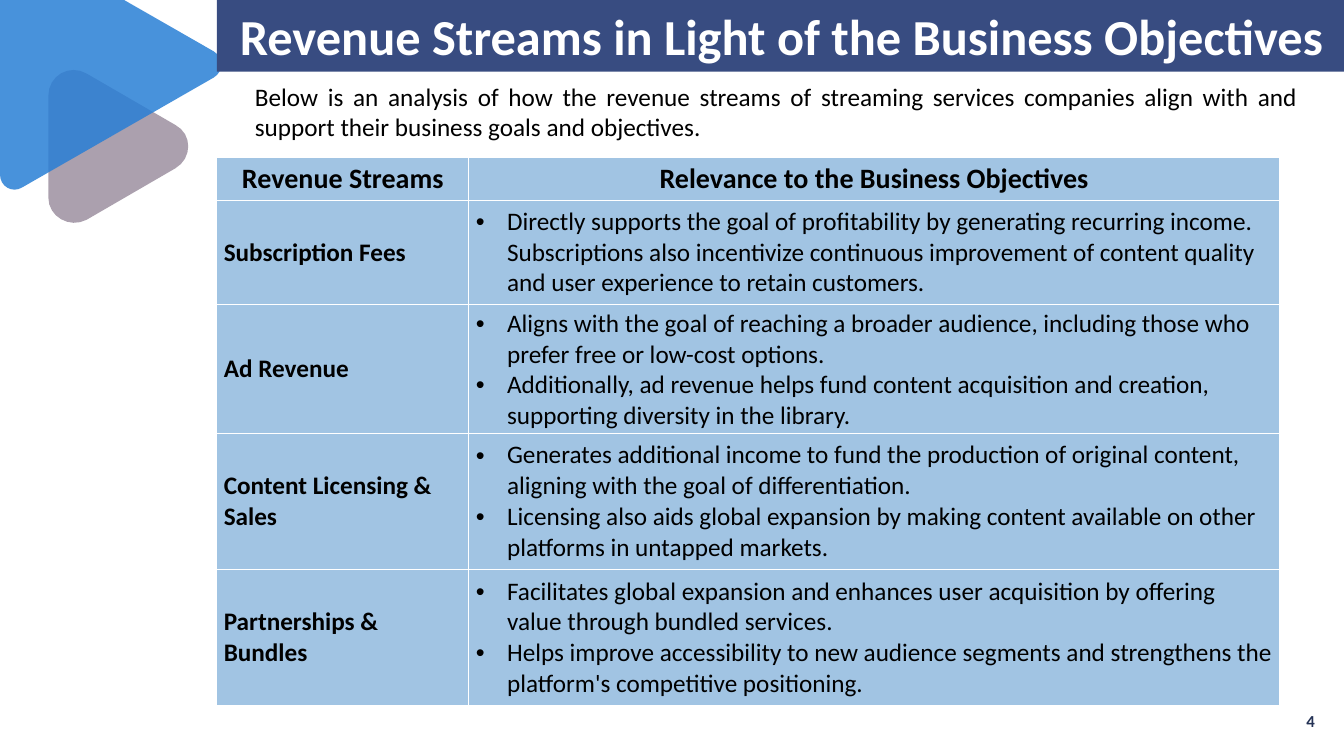
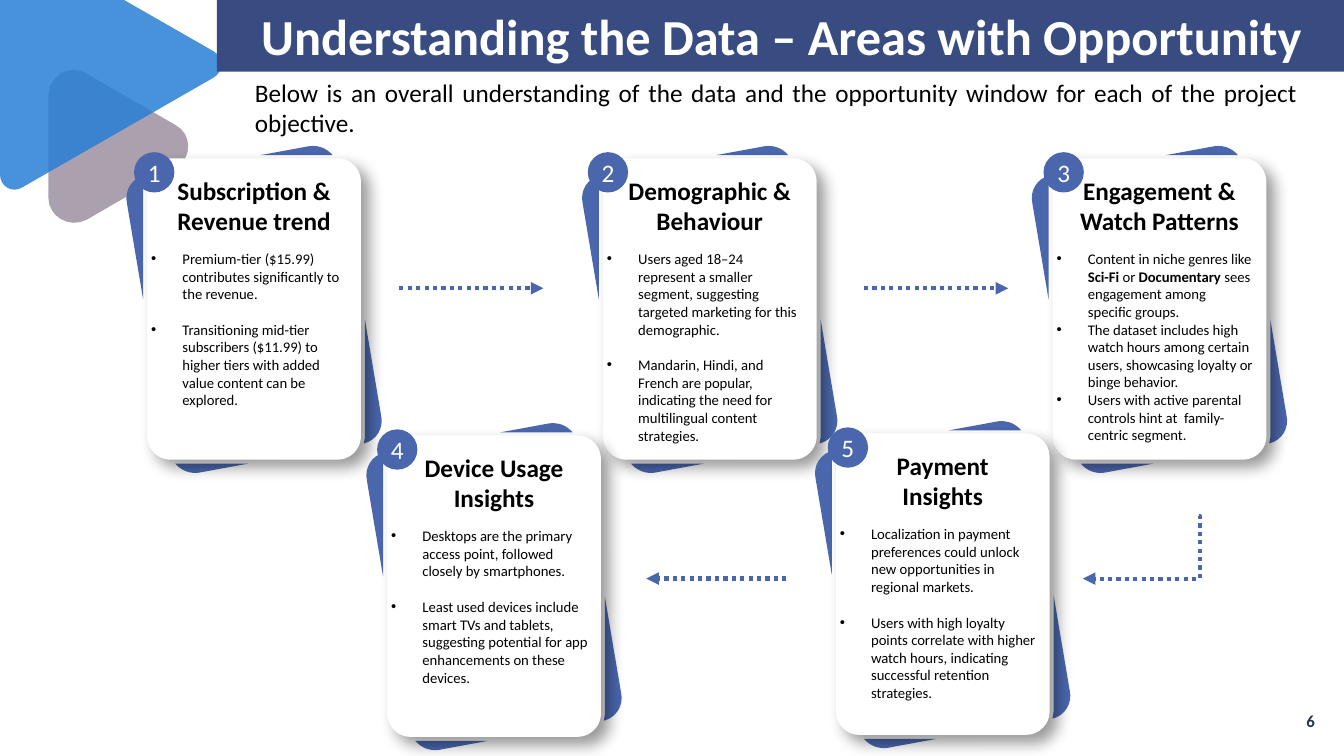
from dataclasses import dataclass
from typing import NamedTuple

from lxml.etree import SubElement
from pptx import Presentation
from pptx.dml.color import RGBColor
from pptx.enum.dml import MSO_LINE
from pptx.enum.shapes import MSO_CONNECTOR, MSO_SHAPE
from pptx.enum.text import MSO_ANCHOR, MSO_AUTO_SIZE, PP_ALIGN
from pptx.oxml.ns import qn
from pptx.util import Inches, Pt


@dataclass(frozen=True)
class Theme:
    font: str = "Calibri"
    band: str = "384C81"
    blue: str = "4A66AC"
    sky: str = "297FD5"
    mauve: str = "9D90A0"
    cell: str = "A1C4E3"
    page: str = "253356"
    black: str = "000000"
    white: str = "FFFFFF"
    title: float = 36
    head: float = 20
    body: float = 18
    small: float = 12
    tiny: float = 10.5


T = Theme()


class Style(NamedTuple):
    size: float
    color: str = T.black
    bold: bool = False
    align: PP_ALIGN = PP_ALIGN.LEFT
    bullet: bool = False
    gap: float = 0


TITLE = Style(T.title, T.white, True, PP_ALIGN.CENTER)
LEAD = Style(T.body, align=PP_ALIGN.JUSTIFY)
PAGE = Style(T.small, T.page, True, PP_ALIGN.RIGHT)
HEAD = Style(T.head, bold=True, align=PP_ALIGN.CENTER)
LABEL = Style(T.body, bold=True)
POINT = Style(T.body, bullet=True)
NAME = Style(T.body, bold=True, align=PP_ALIGN.CENTER)
BADGE = Style(T.body, T.white, align=PP_ALIGN.CENTER)
NOTE = Style(T.tiny, bullet=True)
SPACED = NOTE._replace(gap=12.8)


class Card(NamedTuple):
    left: float
    top: float
    badge: float
    name: str
    notes: list[str]
    style: Style = SPACED


class Row(NamedTuple):
    label: str
    points: list[str]
    high: float


class Link(NamedTuple):
    start: tuple[float, float]
    end: tuple[float, float]
    kind: MSO_CONNECTOR = MSO_CONNECTOR.STRAIGHT


MAUVE = [[(0.48, 1.46), (0.48, 0.95), (0.48, 0.75, 0.69, 0.63, 0.86, 0.73),
          (1.74, 1.24), (1.91, 1.33, 1.91, 1.57, 1.74, 1.67),
          (0.86, 2.18), (0.69, 2.27, 0.48, 2.15, 0.48, 1.96)]]
SKY = [[(0, 0), (1.23, 0), (2.12, 0.51), (2.22, 0.57, 2.22, 0.71, 2.12, 0.77),
        (0.22, 1.86), (0.12, 1.92, 0, 1.85, 0, 1.73)]]
EDGES = [[(2.05, 0.09), (1.33, 0.09), (1.82, 0),
          (1.91, -0.01, 1.99, 0.02, 2.05, 0.09)],
         [(0.01, 0.57), (0.17, 1.52), (0.17, 0.36),
          (0.17, 0.34, 0.18, 0.31, 0.18, 0.29),
          (0.06, 0.32, -0.02, 0.44, 0.01, 0.57)]]
TILT_W, TILT_H = 2.54, 3.24
TILT = EDGES + [[tuple((TILT_H if i % 2 else TILT_W) - v
                       for i, v in enumerate(step)) for step in part]
                for part in EDGES]

ROWS = [
    Row("Subscription Fees", [
        "Directly supports the goal of profitability by generating recurring income. Subscriptions also incentivize continuous improvement of content quality and user experience to retain customers.",
    ], 1.03),
    Row("Ad Revenue", [
        "Aligns with the goal of reaching a broader audience, including those who prefer free or low-cost options.",
        "Additionally, ad revenue helps fund content acquisition and creation, supporting diversity in the library.",
    ], 1.27),
    Row("Content Licensing & Sales", [
        "Generates additional income to fund the production of original content, aligning with the goal of differentiation.",
        "Licensing also aids global expansion by making content available on other platforms in untapped markets.",
    ], 1.35),
    Row("Partnerships & Bundles", [
        "Facilitates global expansion and enhances user acquisition by offering value through bundled services.",
        "Helps improve accessibility to new audience segments and strengthens the platform's competitive positioning.",
    ], 1.35),
]

CARDS = [
    Card(1.46, 1.57, 1.33, "Subscription & Revenue trend", [
        "Premium-tier ($15.99) contributes significantly to the revenue.",
        "Transitioning mid-tier subscribers ($11.99) to higher tiers with added value content can be explored.",
    ]),
    Card(5.98, 1.57, 5.83, "Demographic & Behaviour", [
        "Users aged 18–24 represent a smaller segment, suggesting targeted marketing for this demographic.",
        "Mandarin, Hindi, and French are popular, indicating the need for multilingual content strategies.",
    ]),
    Card(10.44, 1.57, 10.35, "Engagement & Watch Patterns", [
        "Content in niche genres like *Sci-Fi* or *Documentary* sees engagement among specific groups.",
        "The dataset includes high watch hours among certain users, showcasing loyalty or binge behavior.",
        "Users with active parental controls hint at  family-centric segment.",
    ], NOTE),
    Card(3.84, 4.32, 3.74, "Device Usage Insights", [
        "Desktops are the primary access point, followed closely by smartphones.",
        "Least used devices include smart TVs and tablets, suggesting potential for app enhancements on these devices.",
    ]),
    Card(8.29, 4.3, 8.21, "Payment Insights", [
        "Localization in payment preferences could unlock new opportunities in regional markets.",
        "Users with high loyalty points correlate with higher watch hours, indicating successful retention strategies.",
    ]),
]

LINKS = [
    Link((3.96, 2.86), (5.39, 2.86)),
    Link((8.57, 2.86), (10, 2.86)),
    Link((7.8, 5.74), (6.41, 5.74)),
    Link((11.89, 5.12), (10.74, 5.74), MSO_CONNECTOR.ELBOW),
]


def box(*sides: float) -> list[Inches]:
    return [Inches(side) for side in sides]


def write(frame, texts: list[str], style: Style) -> None:
    for i, text in enumerate(texts):
        para = frame.paragraphs[0] if i == 0 else frame.add_paragraph()
        para.alignment = style.align
        if i and style.gap:
            para.space_before = Pt(style.gap)
        if style.bullet:
            props = para._p.get_or_add_pPr()
            props.set("marL", str(Inches(0.31)))
            props.set("indent", str(-Inches(0.31)))
            SubElement(props, qn("a:buFont"), typeface="Arial")
            SubElement(props, qn("a:buChar"), char="•")
        font = para.font
        font.name, font.size, font.bold = T.font, Pt(style.size), style.bold
        font.color.rgb = RGBColor.from_string(style.color)
        for j, part in enumerate(text.split("*")):
            run = para.add_run()
            run.text = part
            if j % 2:
                run.font.bold = True


def inset(frame, side: float, end: float) -> None:
    frame.margin_left = frame.margin_right = Inches(side)
    frame.margin_top = frame.margin_bottom = Inches(end)


def label(slide, place: list[Inches], texts: list[str], style: Style,
          side: float = 0.1, anchor: MSO_ANCHOR = MSO_ANCHOR.TOP) -> None:
    frame = slide.shapes.add_textbox(*place).text_frame
    frame.word_wrap = True
    frame.vertical_anchor = anchor
    inset(frame, side, 0.05)
    write(frame, texts, style)


def paint(shape, color: str):
    shape.fill.solid()
    shape.fill.fore_color.rgb = RGBColor.from_string(color)
    shape.line.fill.background()
    shape.shadow.inherit = False
    return shape


def trace(part: list[tuple], left: float, top: float) -> list[tuple]:
    spots = []
    for step in part:
        if len(step) == 2:
            spots.append(step)
            continue
        ends = [spots[-1], step[:2], step[2:4], step[4:]]
        for t in (n / 8 for n in range(1, 9)):
            mix = ((1 - t) ** 3, 3 * t * (1 - t) ** 2,
                   3 * t * t * (1 - t), t ** 3)
            spots.append(tuple(sum(m * end[axis] for m, end in zip(mix, ends))
                               for axis in (0, 1)))
    return [(Inches(x + left), Inches(y + top)) for x, y in spots]


def outline(slide, parts: list[list[tuple]], color: str,
            left: float = 0, top: float = 0):
    paths = [trace(part, left, top) for part in parts]
    pen = slide.shapes.build_freeform(*paths[0][0])
    for i, spots in enumerate(paths):
        if i:
            pen.move_to(*spots[0])
        pen.add_line_segments(spots[1:], close=True)
    return paint(pen.convert_to_shape(), color)


def add_art(slide, layout) -> None:
    for parts, color in ((MAUVE, T.mauve), (SKY, T.sky)):
        shape = outline(slide, parts, color)
        fill = shape.element.find(".//" + qn("a:srgbClr"))
        SubElement(fill, qn("a:alpha"), val="85000")
        layout.shapes.element.append(shape.element)


def add_base(deck, title: str, lead: str, top: float, page: str):
    slide = deck.slides.add_slide(deck.slide_layouts[5])
    band = slide.shapes.title
    band.left, band.top, band.width, band.height = box(2.15, -0.01, 11.21, 0.72)
    band.fill.solid()
    band.fill.fore_color.rgb = RGBColor.from_string(T.band)
    frame = band.text_frame
    frame.auto_size = MSO_AUTO_SIZE.NONE
    frame.vertical_anchor = MSO_ANCHOR.MIDDLE
    write(frame, [title], TITLE)
    label(slide, box(2.43, top, 10.54, 0.71), [lead], LEAD)
    label(slide, box(11.67, 6.95, 1.47, 0.4), [page], PAGE,
          anchor=MSO_ANCHOR.MIDDLE)
    return slide


def fill_cell(cell, texts: list[str], style: Style) -> None:
    props = cell._tc.get_or_add_tcPr()
    for side in ("lnL", "lnR", "lnT", "lnB"):
        line = SubElement(props, qn("a:" + side), w=str(Pt(1)))
        SubElement(SubElement(line, qn("a:solidFill")),
                   qn("a:srgbClr"), val=T.white)
    cell.fill.solid()
    cell.fill.fore_color.rgb = RGBColor.from_string(T.cell)
    cell.vertical_anchor = MSO_ANCHOR.MIDDLE
    inset(cell, 0.07, 0.04)
    write(cell.text_frame, texts, style)


def add_grid(slide) -> None:
    grid = slide.shapes.add_table(len(ROWS) + 1, 2,
                                  *box(2.15, 1.56, 10.54, 5.43)).table
    grid.first_row = grid.horz_banding = False
    for col, wide in zip(grid.columns, box(2.5, 8.04)):
        col.width = wide
    for row, high in zip(grid.rows, box(0.43, *(r.high for r in ROWS))):
        row.height = high
    fill_cell(grid.cell(0, 0), ["Revenue Streams"], HEAD)
    fill_cell(grid.cell(0, 1), ["Relevance to the Business Objectives"], HEAD)
    for i, row in enumerate(ROWS, 1):
        fill_cell(grid.cell(i, 0), [row.label], LABEL)
        fill_cell(grid.cell(i, 1), row.points, POINT)


def add_card(slide, card: Card, rank: int) -> None:
    left, top = card.left, card.top
    outline(slide, TILT, T.blue, left - 0.21, top - 0.12)
    face = paint(slide.shapes.add_shape(
        MSO_SHAPE.ROUNDED_RECTANGLE, *box(left, top, 2.12, 2.99)), T.white)
    face.adjustments[0] = 0.11
    shade = SubElement(face.element.spPr.find(qn("a:effectLst")),
                       qn("a:outerShdw"), blurRad=str(Pt(11)),
                       dist=str(Pt(8)), dir="2700000", algn="tl",
                       rotWithShape="0")
    tone = SubElement(shade, qn("a:srgbClr"), val=T.black)
    SubElement(tone, qn("a:alpha"), val="40000")
    label(slide, box(left + 0.23, top + 0.12, 1.66, 0.71), [card.name], NAME, 0)
    label(slide, box(left + 0.04, top + 0.86, 1.95, 2.04),
          card.notes, card.style, 0)
    badge = paint(slide.shapes.add_shape(
        MSO_SHAPE.OVAL, *box(card.badge, top - 0.06, 0.4, 0.4)), T.blue)
    inset(badge.text_frame, 0, 0)
    badge.text_frame.vertical_anchor = MSO_ANCHOR.MIDDLE
    write(badge.text_frame, [str(rank)], BADGE)


def add_link(slide, link: Link) -> None:
    wire = slide.shapes.add_connector(link.kind, *box(*link.start, *link.end))
    wire.line.color.rgb = RGBColor.from_string(T.blue)
    wire.line.width = Pt(3)
    wire.line.dash_style = MSO_LINE.ROUND_DOT
    props = wire.element.spPr
    SubElement(props.find(qn("a:ln")), qn("a:tailEnd"), type="triangle")
    SubElement(props, qn("a:effectLst"))
    if link.kind == MSO_CONNECTOR.ELBOW:
        SubElement(props.find(".//" + qn("a:avLst")), qn("a:gd"),
                   name="adj1", fmla="val -1000")


def main() -> None:
    deck = Presentation()
    deck.slide_width, deck.slide_height = box(13.33, 7.5)
    slide = add_base(
        deck, "Revenue Streams in Light of the Business Objectives",
        "Below is an analysis of how the revenue streams of streaming services companies align with and support their business goals and objectives.",
        0.76, "4")
    add_art(slide, deck.slide_layouts[5])
    add_grid(slide)
    slide = add_base(
        deck, "Understanding the Data – Areas with Opportunity",
        "Below is an overall understanding of the data and the opportunity window for each of the project objective.",
        0.72, "6")
    for rank, card in enumerate(CARDS, 1):
        add_card(slide, card, rank)
    for link in LINKS:
        add_link(slide, link)
    deck.save("out.pptx")


if __name__ == "__main__":
    main()
